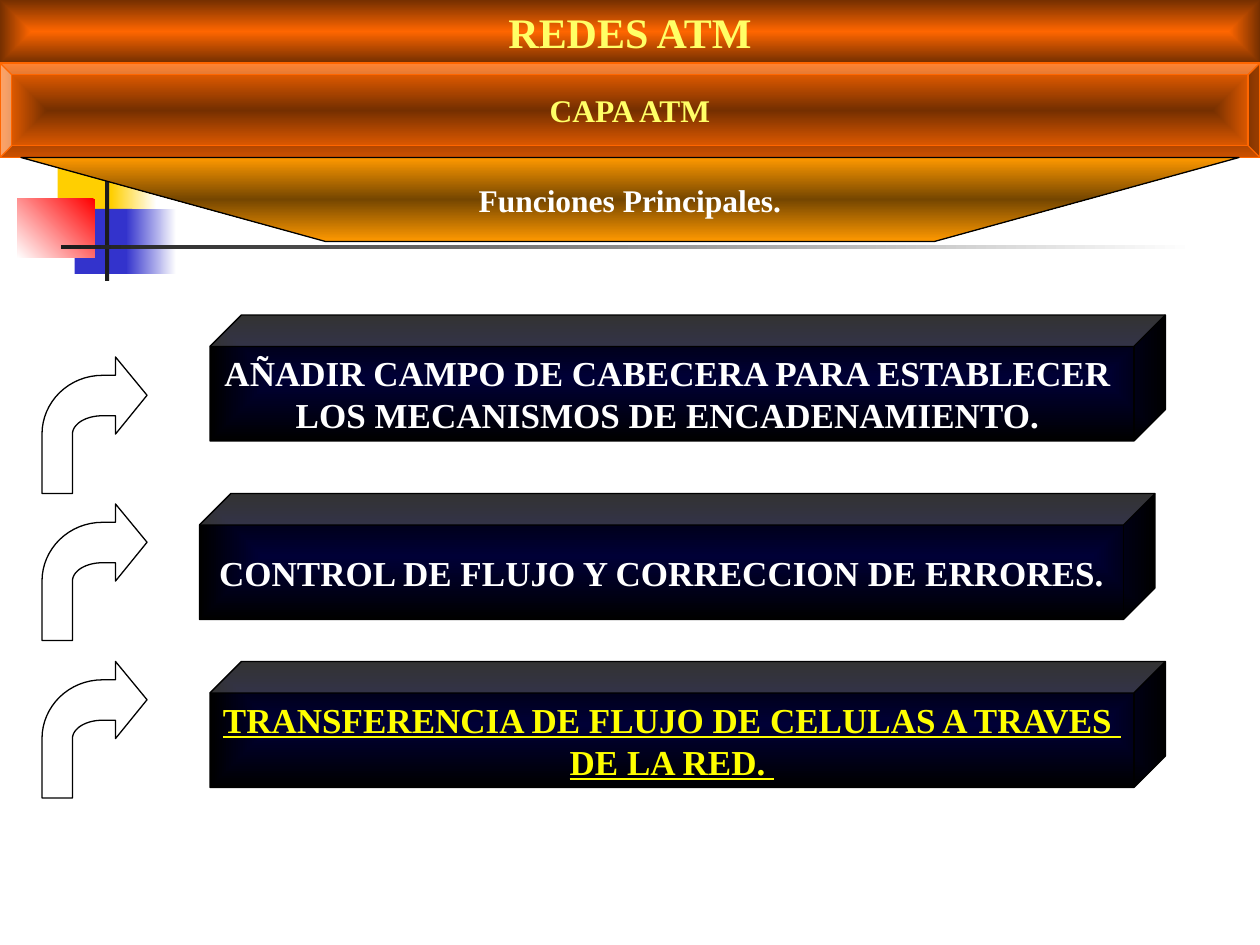
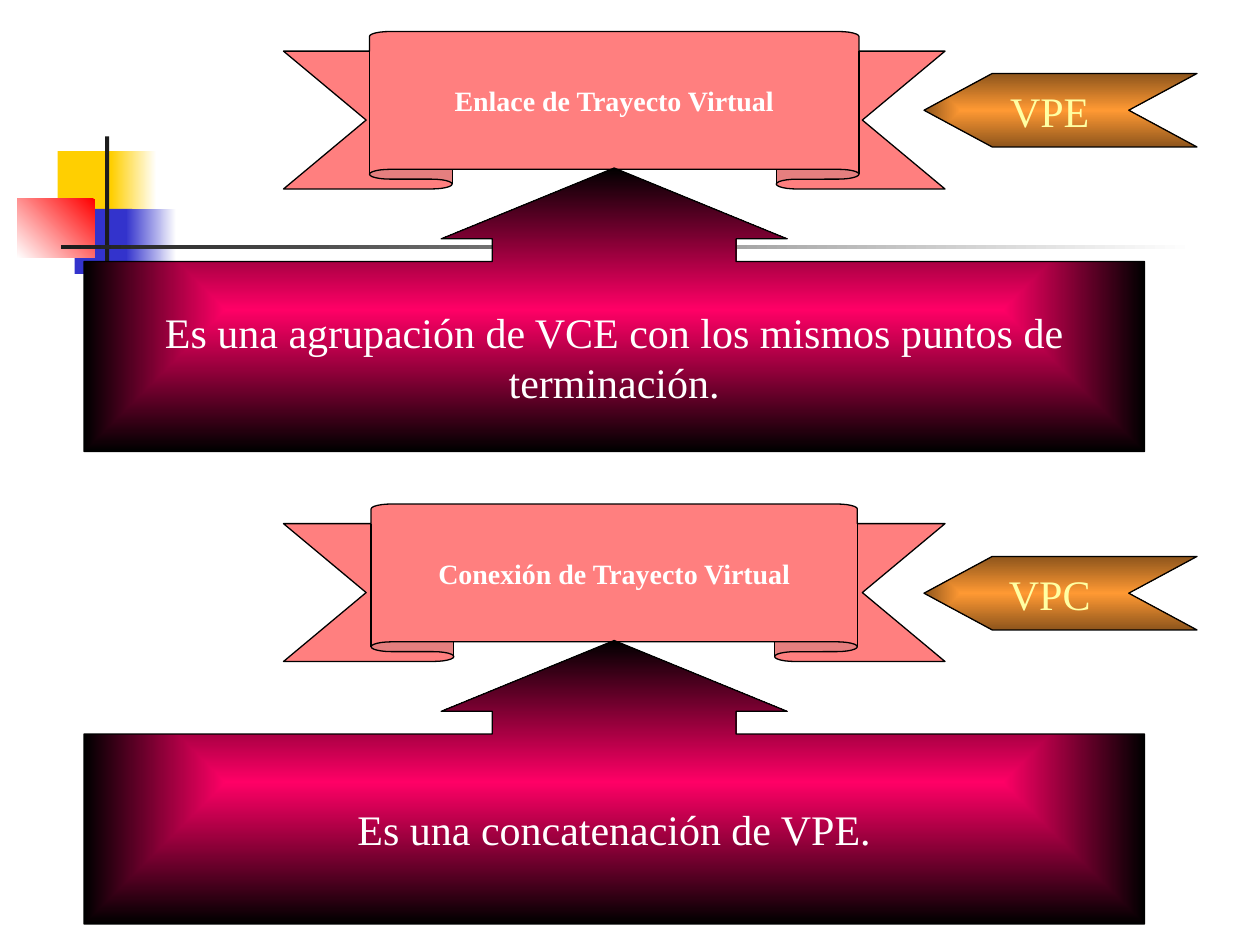
from dataclasses import dataclass
from math import cos, pi, sin
from typing import NamedTuple, Optional

from lxml import etree
from pptx import Presentation, util as u
from pptx.dml.color import RGBColor
from pptx.enum import shapes as kinds, text as modes
from pptx.oxml.ns import qn

COLS, ROWS = 120, 90
UNIT = u.Inches(10) // COLS
FONT = "Times New Roman"
KIND = kinds.MSO_SHAPE
WHITE, BLACK, GOLD, DARK = "FFFFFF", "000000", "FFCF01", "1C1C1C"
BLUE, RED, FLAME, LEMON = "3333CC", "FF0000", "FF6600", "FFFF66"
RUST, NAVY, ROSE = "752F00", "000036", "FF0066"


class Box(NamedTuple):
    col: float
    row: float
    cols: float
    rows: float


class Paint(NamedTuple):
    start: str
    end: Optional[str] = None
    angle: Optional[int] = None
    alpha: Optional[int] = None


class Ink(NamedTuple):
    size: int
    color: str = WHITE
    bold: bool = True
    under: bool = False


@dataclass
class Item:
    kind: KIND
    box: Box
    paint: Paint
    edge: Optional[str] = BLACK
    adjust: tuple = ()
    words: str = ""
    ink: Ink = Ink(20)
    wrap: bool = False


BACK = [
    Item(KIND.RECTANGLE, box, paint, None) for box, paint in (
        (Box(5.5, 14.4, 5.8, 6.2), Paint(GOLD)),
        (Box(10.6, 14.4, 4.3, 6.2), Paint(WHITE, GOLD, 180)),
        (Box(7.1, 19.9, 5.5, 6.2), Paint(BLUE)),
        (Box(12, 19.9, 4.8, 6.2), Paint(WHITE, BLUE, 180)),
        (Box(1.65, 18.95, 7.4, 5.6), Paint(RED, WHITE, 225)),
        (Box(10, 13, 0.4, 13.75), Paint(DARK)),
        (Box(5.8, 23.35, 108, 0.4), Paint(WHITE, DARK, 180)),
    )
]


def hue(code: str) -> RGBColor:
    return RGBColor.from_string(code)


def tint(shape, paint: Paint) -> None:
    fill = shape.fill
    if paint.end is None:
        fill.solid()
        fill.fore_color.rgb = hue(paint.start)
        if paint.alpha is not None:
            color = shape.element.spPr.find(qn("a:solidFill"))[0]
            etree.SubElement(color, qn("a:alpha")).set("val", str(paint.alpha * 1000))
        return
    fill.gradient()
    for stop, code in zip(fill.gradient_stops, (paint.start, paint.end)):
        stop.color.rgb = hue(code)
    if paint.angle is not None:
        fill.gradient_angle = paint.angle
        return
    grad = shape.element.spPr.find(qn("a:gradFill"))
    line = grad.find(qn("a:lin"))
    route = etree.Element(qn("a:path"))
    route.set("path", "rect")
    focus = etree.SubElement(route, qn("a:fillToRect"))
    for side in "ltrb":
        focus.set(side, "50000")
    grad.replace(line, route)


def style(shape, paint: Paint, edge: Optional[str]) -> None:
    shape.shadow.inherit = False
    tint(shape, paint)
    if edge is None:
        shape.line.fill.background()
    else:
        shape.line.color.rgb = hue(edge)
        shape.line.width = u.Pt(0.75)


def write(shape, words: str, ink: Ink, wrap: bool = False) -> None:
    frame = shape.text_frame
    frame.text = words
    frame.word_wrap = wrap
    frame.vertical_anchor = modes.MSO_ANCHOR.MIDDLE
    for para in frame.paragraphs:
        para.alignment = modes.PP_ALIGN.CENTER
        for run in para.runs:
            font = run.font
            font.name, font.size = FONT, u.Pt(ink.size)
            font.bold, font.underline = ink.bold, ink.under
            font.color.rgb = hue(ink.color)


def draw(slide, item: Item) -> None:
    spot = [round(part * UNIT) for part in item.box]
    shape = slide.shapes.add_shape(item.kind, *spot)
    for index, value in enumerate(item.adjust):
        shape.adjustments[index] = value
    style(shape, item.paint, item.edge)
    if item.words:
        write(shape, item.words, item.ink, item.wrap)


def trace(slide, col: float, row: float, dots: list, paint: Paint):
    spots = [((col + x) * UNIT, (row + y) * UNIT) for x, y in dots]
    pen = slide.shapes.build_freeform(*spots[0])
    pen.add_line_segments(spots[1:], close=True)
    shape = pen.convert_to_shape()
    style(shape, paint, BLACK)
    return shape


def arc(wide: float, high: float, steps: int = 16) -> list:
    turns = [pi / 2 * step / steps for step in range(steps + 1)]
    return [(5.75 - wide * cos(turn), 7.35 - high * sin(turn)) for turn in turns]


def hook(slide, row: float) -> None:
    head = [(7, 1.75), (7, 0), (10, 3.65), (7, 7.35), (7, 5.6)]
    dots = [(0, 13), *arc(5.75, 5.6), *head, *reversed(arc(2.85, 1.75)), (2.9, 13)]
    trace(slide, 4, row, dots, Paint(WHITE))


def tag(slide, row: float, words: str) -> None:
    dots = [(26, 7), (6.5, 7), (0, 3.5), (6.5, 0), (26, 0), (19.5, 3.5)]
    shape = trace(slide, 88, row, dots, Paint("FF9933", "8E551C"))
    write(shape, words, Ink(24, "FFFFA3", False))
    shape.text_frame.margin_right = u.Inches(0.27)


def begin(deck):
    slide = deck.slides.add_slide(deck.slide_layouts[6])
    for item in BACK:
        draw(slide, item)
    return slide


def layer(deck) -> None:
    slide = begin(deck)
    draw(slide, Item(KIND.RECTANGLE, Box(0, 0, COLS, 6), Paint(FLAME, RUST), None,
                     words="REDES ATM", ink=Ink(24, LEMON)))
    draw(slide, Item(KIND.BEVEL, Box(0, 6, COLS, 9), Paint(RUST, FLAME), FLAME,
                     (0.125,), "CAPA ATM", Ink(18, LEMON)))
    tasks = (
        (20, 30, 34, Ink(20), "AÑADIR CAMPO DE CABECERA PARA ESTABLECER \n"
                              "LOS MECANISMOS DE ENCADENAMIENTO. "),
        (19, 47, 48, Ink(20), "CONTROL DE FLUJO Y CORRECCION DE ERRORES."),
        (20, 63, 63, Ink(20, "FFFF00", under=True),
         "TRANSFERENCIA DE FLUJO DE CELULAS A TRAVES \nDE LA RED. "),
    )
    for col, row, bend, ink, words in tasks:
        hook(slide, bend)
        draw(slide, Item(KIND.CUBE, Box(col, row, 91, 12), Paint(NAVY, BLACK),
                         adjust=(0.25,), words=words, ink=ink))
    funnel = trace(slide, 2, 15, [(0, 0), (116, 0), (87, 8), (29, 8)],
                   Paint("754600", "FF9900"))
    write(funnel, "Funciones Principales.", Ink(18))


def paths(deck) -> None:
    slide = begin(deck)
    terms = (
        (3, 7, 0.74, "Enlace de Trayecto Virtual", "VPE",
         "Es una agrupación de VCE con los mismos puntos de terminación."),
        (48, 53, 0.735, "Conexión de Trayecto Virtual", "VPC",
         "Es una concatenación de VPE."),
    )
    for row, mark, width, name, code, sense in terms:
        draw(slide, Item(KIND.UP_RIBBON, Box(27, row, 63, 15), Paint(RED, alpha=50),
                         adjust=(0.125, width), words=name, ink=Ink(16)))
        draw(slide, Item(KIND.UP_ARROW_CALLOUT, Box(8, row + 13, 101, 27),
                         Paint(ROSE, BLACK), adjust=(0.86, 0.61, 0.25, 0.67),
                         words=sense, ink=Ink(24, bold=False), wrap=True))
        tag(slide, mark, code)


def main() -> None:
    deck = Presentation()
    deck.slide_width, deck.slide_height = COLS * UNIT, ROWS * UNIT
    layer(deck)
    paths(deck)
    deck.save("out.pptx")


if __name__ == "__main__":
    main()
